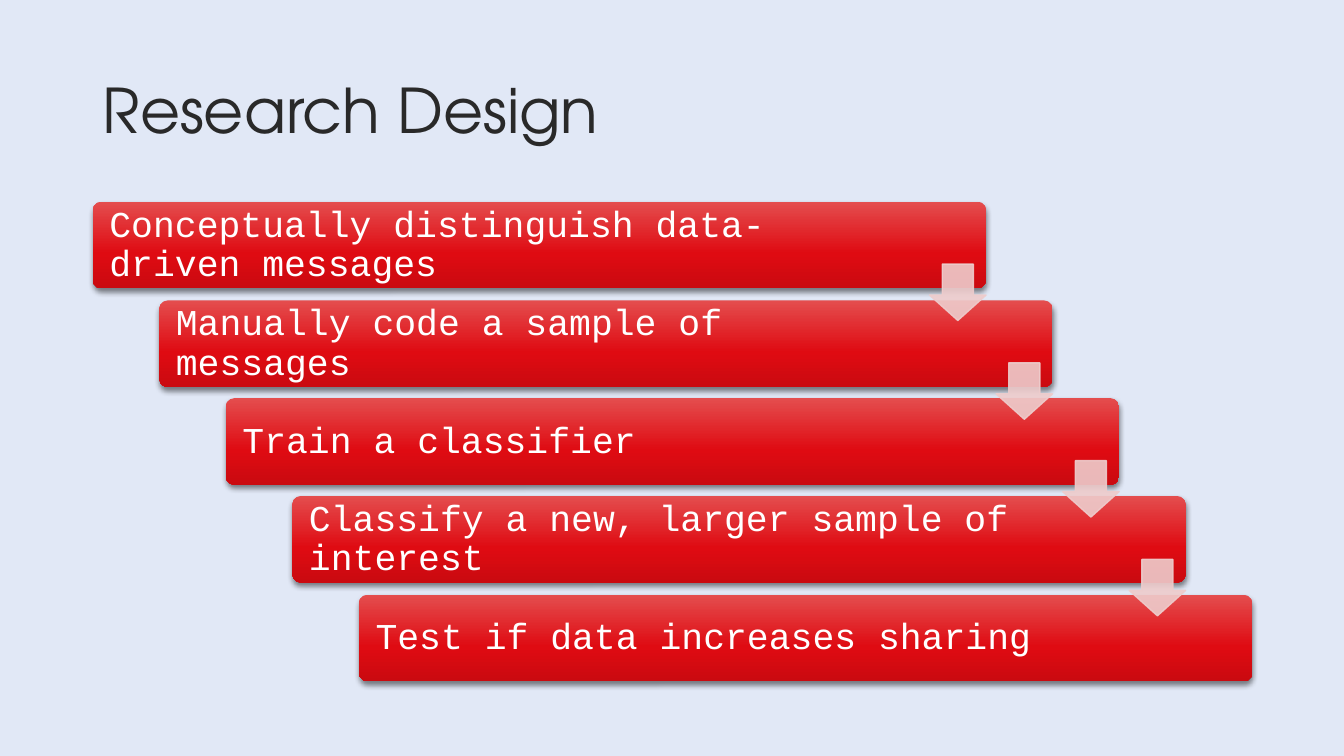
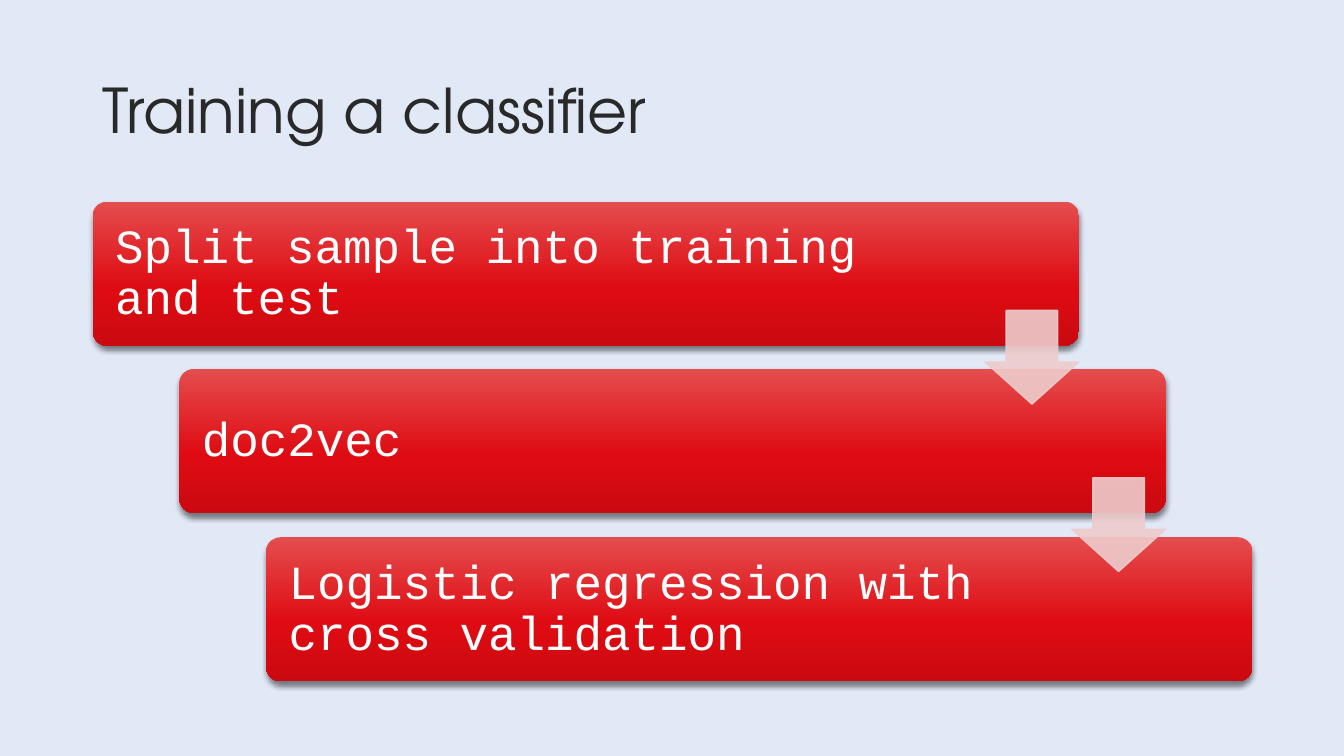
from copy import deepcopy

from lxml.etree import SubElement
from pptx import Presentation
from pptx.dml.color import RGBColor
from pptx.enum.shapes import MSO_SHAPE as SHAPE
from pptx.enum.text import MSO_ANCHOR as ANCHOR, PP_ALIGN as ALIGN
from pptx.oxml.ns import qn
from pptx.util import Emu, Pt

PX = 9144  # 100 px to the inch
LEFT, WIDTH = 92, 1150
STAIRS_TOP, STAIRS_HEIGHT = 200, 476


def px(n):
    return Emu(round(n) * PX)


def rgb(value):
    return RGBColor.from_string(value)


class Deck:
    BACKGROUND, INK, WHITE, ARROW = "E1E8F6", "292929", "FFFFFF", "EECCCC"
    CARD_STOPS = [(0, "E44D4E"), (0.6, "DF0B12"), (1, "CA0A10")]
    TITLE_FONT, BODY_FONT = "TeX Gyre Adventor", "Courier New"

    def __init__(self):
        self.prs = Presentation()
        self.prs.slide_width, self.prs.slide_height = px(1333), px(750)
        self.slide = None

    def add_slide(self, title):
        self.slide = self.prs.slides.add_slide(self.prs.slide_layouts[6])
        fill = self.slide.background.fill
        fill.solid()
        fill.fore_color.rgb = rgb(self.BACKGROUND)
        box = self.slide.shapes.add_textbox(px(LEFT), px(40), px(WIDTH), px(145))
        self.set_text(box.text_frame, title, 44, self.TITLE_FONT, self.INK)

    def set_text(self, tf, text, size, font, color):
        """Put one left-aligned, vertically centred paragraph in a frame."""
        tf.word_wrap = True
        tf.vertical_anchor = ANCHOR.MIDDLE
        p = tf.paragraphs[0]
        p.text = text
        p.alignment = ALIGN.LEFT
        p.line_spacing = 0.9
        p.font.size, p.font.name = Pt(size), font
        p.font.color.rgb = rgb(color)

    def shape(self, kind, x, y, w, h, adjustments):
        sp = self.slide.shapes.add_shape(kind, px(x), px(y), px(w), px(h))
        sp.shadow.inherit = False
        for i, value in enumerate(adjustments):
            sp.adjustments[i] = value
        return sp

    def card(self, x, y, w, h, text, size, text_right):
        sp = self.shape(SHAPE.ROUNDED_RECTANGLE, x, y, w, h, [0.1])
        sp.line.fill.background()
        sp.fill.gradient()
        sp.fill.gradient_angle = 270
        stops = sp.element.spPr.find(".//" + qn("a:gsLst"))
        stops.append(deepcopy(stops[-1]))
        for stop, (position, color) in zip(sp.fill.gradient_stops, self.CARD_STOPS):
            stop.position = position
            stop.color.rgb = rgb(color)
        self.drop_shadow(sp)
        tf = sp.text_frame
        tf.margin_left, tf.margin_right = px(0.52 * size), px(text_right)
        tf.margin_top = tf.margin_bottom = 0
        self.set_text(tf, text, size, self.BODY_FONT, self.WHITE)

    def drop_shadow(self, sp):
        effects = sp.element.spPr.find(qn("a:effectLst"))
        shadow = SubElement(effects, qn("a:outerShdw"), blurRad=str(Pt(4)),
                            dist=str(Pt(2.5)), dir="5400000", rotWithShape="0")
        color = SubElement(shadow, qn("a:srgbClr"), val="000000")
        SubElement(color, qn("a:alpha"), val="47000")

    def down_arrow(self, x, y, size):
        sp = self.shape(SHAPE.DOWN_ARROW, x, y, size, size, [0.55, 0.45])
        sp.fill.solid()
        sp.fill.fore_color.rgb = rgb(self.ARROW)
        sp.line.color.rgb = rgb(self.ARROW)
        sp.line.width = Pt(1)
        for color in sp.element.spPr.iter(qn("a:srgbClr")):
            SubElement(color, qn("a:alpha"), val="90000")

    def staircase(self, steps, w, h, size):
        """Spread cards diagonally over the body, an arrow between each pair."""
        gaps = len(steps) - 1
        dx, dy = (WIDTH - w) / gaps, (STAIRS_HEIGHT - h) / gaps
        arrow = 0.65 * h
        corners = [(LEFT + i * dx, STAIRS_TOP + i * dy) for i in range(len(steps))]
        for (x, y), text in zip(corners, steps):
            self.card(x, y, w, h, text, size, arrow + 85)
        for x, y in corners[:-1]:
            self.down_arrow(x + w - arrow, y + dy - 0.63 * arrow, arrow)


def main():
    deck = Deck()
    deck.add_slide("Research Design")
    deck.staircase([
        "Conceptually distinguish data-driven messages",
        "Manually code a sample of messages",
        "Train a classifier",
        "Classify a new, larger sample of interest",
        "Test if data increases sharing",
    ], 886, 86, 26)
    deck.add_slide("Training a classifier")
    deck.staircase([
        "Split sample into training and test",
        "doc2vec",
        "Logistic regression with cross validation",
    ], 978, 143, 34)
    deck.prs.save("out.pptx")


if __name__ == "__main__":
    main()
